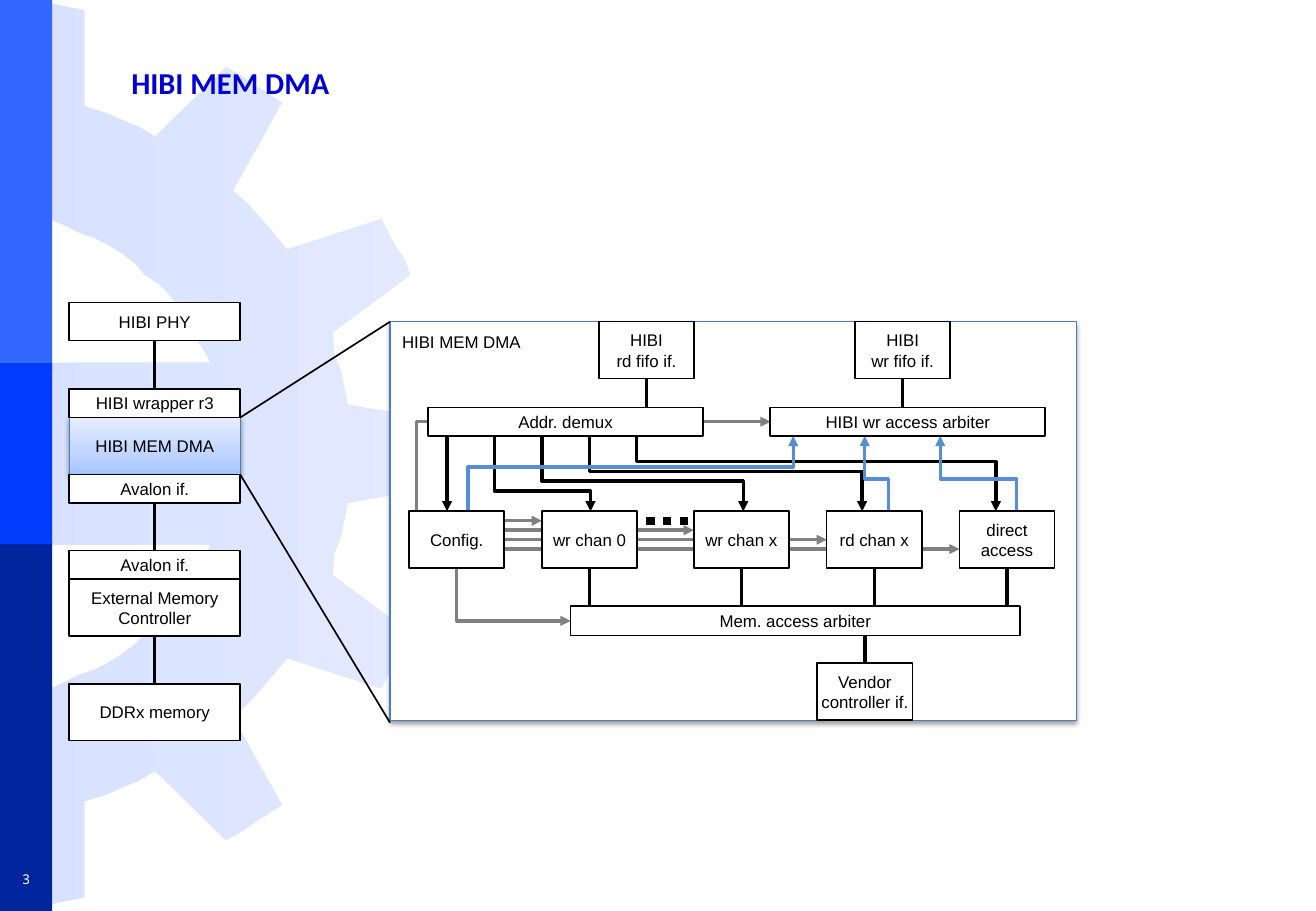
from lxml import etree
from pptx import Presentation
from pptx.dml.color import RGBColor
from pptx.enum import dml, shapes, text
from pptx.oxml import ns
from pptx.util import Pt

COLORS = {
    "black": "000000", "white": "FFFFFF", "gray": "808080", "blue": "558ED5",
    "edge": "4B7EBC", "title": "0000D6", "sky": "3366FF", "mid": "003CFC",
    "navy": "00259C", "gear1": "D7E1FF", "gear2": "E3EAFF",
    "dma1": "A4C4FF", "dma2": "BFD4FF", "dma3": "E6EEFF",
}
GEAR = [
    (266, 258), (264, 250), (206, 240), (204, 230), (202, 220), (198, 210),
    (197, 197), (243, 163), (240, 154), (235, 147), (230, 138), (226, 130),
    (170, 148), (162, 138), (155, 130), (148, 122), (138, 113), (167, 61),
    (158, 55), (150, 50), (143, 45), (134, 40), (92, 81), (82, 75), (72, 71),
    (63, 67), (50, 63), (50, 6), (40, 4), (30, 2), (21, 1), (10, 0),
    (10, 127), (20, 130), (30, 130), (39, 134), (47, 138), (56, 141),
    (64, 145), (72, 150), (80, 156), (86, 163), (94, 168), (100, 174),
    (106, 182), (112, 190), (115, 199), (120, 206), (125, 215), (0, 215),
]
CENTER = text.PP_ALIGN.CENTER
LEFT = text.PP_ALIGN.LEFT
MIDDLE = text.MSO_ANCHOR.MIDDLE
TOP = text.MSO_ANCHOR.TOP


def rgb(name):
    return RGBColor.from_string(COLORS[name])


def add(parent, tag, **attrs):
    node = etree.SubElement(parent, ns.qn(tag))
    for key, value in attrs.items():
        node.set(key, str(value))
    return node


def write(shape, words, size=10, font="Arial", color="black", bold=False,
          align=CENTER, anchor=MIDDLE, inset=(0, 0), wrap=False):
    frame = shape.text_frame
    frame.word_wrap = wrap
    frame.vertical_anchor = anchor
    frame.margin_left = frame.margin_right = Pt(inset[0])
    frame.margin_top = frame.margin_bottom = Pt(inset[1])
    for i, line in enumerate(words.split("\n")):
        para = frame.paragraphs[0] if i == 0 else frame.add_paragraph()
        para.alignment = align
        run = para.add_run()
        run.text = line
        run.font.name, run.font.size, run.font.bold = font, Pt(size), bold
        run.font.color.rgb = rgb(color)


def blend(shape, stops, angle):
    shape.fill.gradient()
    shape.fill.gradient_angle = angle
    stack = next(shape.element.iter(ns.qn("a:gsLst")))
    for old in list(stack):
        stack.remove(old)
    for place, color in stops:
        stop = add(stack, "a:gs", pos=place * 1000)
        add(stop, "a:srgbClr", val=COLORS[color])


def shade(shape):
    effects = shape.element.spPr.find(ns.qn("a:effectLst"))
    cast = add(effects, "a:outerShdw", blurRad=Pt(3.1), dist=Pt(1.6),
               dir=90 * 60000, rotWithShape=0)
    tint = add(cast, "a:srgbClr", val=COLORS["black"])
    add(tint, "a:alpha", val=38000)


def box(slide, x, y, w, h, words="", fill="white", line="black", width=1, **style):
    shape = slide.shapes.add_shape(shapes.MSO_SHAPE.RECTANGLE, Pt(x), Pt(y), Pt(w), Pt(h))
    shape.shadow.inherit = False
    shape.fill.solid()
    shape.fill.fore_color.rgb = rgb(fill)
    if line:
        shape.line.color.rgb = rgb(line)
        shape.line.width = Pt(width)
    else:
        shape.line.fill.background()
    if words:
        write(shape, words, **style)
    return shape


def wire(slide, x1, y1, x2, y2, color="black", width=2, arrow=False,
         kind=shapes.MSO_CONNECTOR.STRAIGHT):
    link = slide.shapes.add_connector(kind, Pt(x1), Pt(y1), Pt(x2), Pt(y2))
    link.line.color.rgb = rgb(color)
    link.line.width = Pt(width)
    if arrow:
        add(link.element.spPr.find(ns.qn("a:ln")), "a:tailEnd", type="triangle")
    add(link.element.spPr, "a:effectLst")
    return link


def bend(slide, x1, y1, x2, y2, color="black", turn=None):
    wide, tall = abs(x2 - x1), abs(y2 - y1)
    left, top = (x1 + x2 - tall) / 2, (y1 + y2 - wide) / 2
    link = wire(slide, left, top, left + tall, top + wide, color, arrow=True,
                kind=shapes.MSO_CONNECTOR.ELBOW)
    right, rise = x2 > x1, y2 < y1
    frame = link.element.spPr.find(ns.qn("a:xfrm"))
    frame.set("rot", str((90 if right and rise else 270) * 60000))
    frame.set("flipH", str(int(right)))
    frame.set("flipV", str(int(rise)))
    shape = link.element.spPr.find(ns.qn("a:prstGeom"))
    if turn is None:
        shape.set("prst", "bentConnector2")
    else:
        guides = shape.find(ns.qn("a:avLst"))
        if guides is None:
            guides = add(shape, "a:avLst")
        add(guides, "a:gd", name="adj1", fmla=f"val {round(turn * 100000)}")


def backdrop(slide):
    points = GEAR + [(x, 538 - y) for x, y in reversed(GEAR)]
    path = slide.shapes.build_freeform(*points[0], scale=Pt(1))
    path.add_line_segments(points[1:])
    gear = path.convert_to_shape()
    gear.shadow.inherit = False
    gear.line.fill.background()
    blend(gear, [(0, "gear1"), (100, "gear2")], 0)
    for y, h, color in [(0, 219.6, "sky"), (321, 219, "navy"), (215.3, 107.3, "mid")]:
        box(slide, 0, y, 31, h, fill=color, line=None)


def heading(slide):
    title = slide.shapes.title
    title.left, title.top, title.width, title.height = Pt(70.6), Pt(15), Pt(676), Pt(67.7)
    write(title, "HIBI MEM DMA", size=18, font="Calibri", color="title", bold=True,
          align=LEFT, inset=(7.2, 3.6), wrap=True)
    slide.shapes._spTree.append(title.element)
    number = slide.shapes.add_textbox(Pt(0), Pt(512), Pt(31), Pt(18.7))
    write(number, "3", size=8, font="Noto Sans Mono", color="white", inset=(7.2, 3.6))


def stack(slide):
    x, w = 41, 101.4
    dma = box(slide, x, 247.5, w, 33.8, "HIBI MEM DMA", line="edge", width=0.75)
    blend(dma, [(0, "dma1"), (35, "dma2"), (100, "dma3")], 90)
    shade(dma)
    for y1, y2 in [(201.8, 230.6), (298.2, 326.3), (377, 405.3)]:
        wire(slide, x + w / 2, y1, x + w / 2, y2)
    for y, h, words in [(179.3, 22.5, "HIBI PHY"), (230.6, 16.9, "HIBI wrapper r3"),
                        (281.3, 16.9, "Avalon if."), (326.3, 16.9, "Avalon if."),
                        (343.2, 33.8, "External Memory Controller"),
                        (405.3, 33.8, "DDRx memory")]:
        box(slide, x, y, w, h, words, inset=(7.2, 0), wrap=True)


def detail(slide):
    w, h, top = 56.4, 33.8, 303.1
    names = ["Config.", "wr chan 0", "wr chan x", "rd chan x", "direct\naccess"]
    lefts = [242.5, 321.2, 411.2, 490, 568.7]
    low, bus, out = top + h, 241.5, 258.4
    panel = box(slide, 231.2, 190.7, 406.7, 236.2, "HIBI MEM DMA", line="edge", width=0.75,
                align=LEFT, anchor=TOP, inset=(7.2, 5.8))
    shade(panel)
    wire(slide, 142.4, 247.5, 231.2, 190.7, width=1)
    wire(slide, 142.4, 281.3, 231.2, 428.4, width=1)
    dots = wire(slide, 383, 308.7, 411, 308.7, width=5)
    dots.line.dash_style = dml.MSO_LINE.ROUND_DOT

    for i, x in enumerate(lefts[1:]):
        y = 308.7 + 5.6 * i
        wire(slide, lefts[0] + w, y, x, y, "gray", arrow=True)
        wire(slide, x + w / 2, low, x + w / 2, 359.3)
    bend(slide, lefts[0] + w / 2, low, 338.2, 368, "gray")
    bend(slide, 247, top, 456.7, 250, "gray")

    wire(slide, 265, out, 265, top, arrow=True)
    for i, x in enumerate([350, 440.5, 511, 590.2]):
        bend(slide, 293.1 + 28.1 * i, out, x, top, turn=0.73 - 0.13 * i)
    for x1, x2, turn in [(277.4, 470.2, 0.59), (602.6, 557.3, 0.43), (526.5, 512.5, 0.43)]:
        bend(slide, x1, top, x2, out, "blue", turn)

    for x, words in zip(lefts, names):
        box(slide, x, top, w, h, words)
    for x, words in [(253.6, "Addr. demux"), (456.4, "HIBI wr access arbiter")]:
        box(slide, x, bus, 163.2, 16.9, words)
    box(slide, 338.2, 359.3, 266.2, 17.5, "Mem. access arbiter")
    for x, y, words, y1, y2 in [(355, 190.7, "HIBI\nrd fifo if.", 224.5, bus),
                                (506.8, 190.7, "HIBI\nwr fifo if.", 224.5, bus),
                                (484.4, 393, "Vendor\ncontroller if.", 376.8, 393)]:
        wire(slide, x + w / 2, y1, x + w / 2, y2)
        box(slide, x, y, w, h, words)


def main():
    deck = Presentation()
    deck.slide_width, deck.slide_height = Pt(780), Pt(540)
    slide = deck.slides.add_slide(deck.slide_layouts[5])
    backdrop(slide)
    heading(slide)
    stack(slide)
    detail(slide)
    deck.save("out.pptx")


main()
